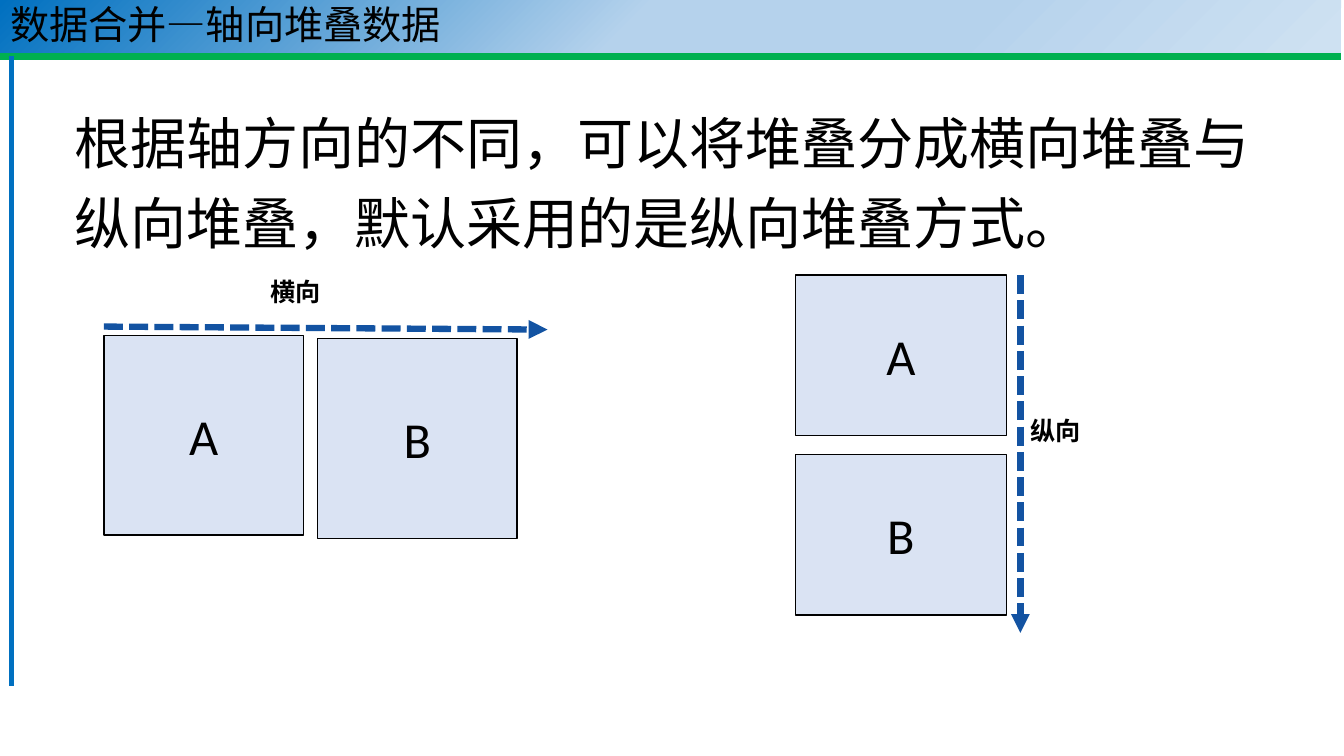
from pptx import Presentation
from pptx.dml.color import RGBColor
from pptx.enum.dml import MSO_LINE
from pptx.enum.shapes import MSO_CONNECTOR, MSO_SHAPE
from pptx.enum.text import MSO_ANCHOR, MSO_AUTO_SIZE, PP_ALIGN
from pptx.oxml import parse_xml
from pptx.oxml.ns import nsdecls, qn
from pptx.util import Inches, Pt
from lxml.etree import SubElement

WIDTH, HEIGHT = Inches(13.33), Inches(7.5)
BLACK = RGBColor(0, 0, 0)
PALE = RGBColor(0xDA, 0xE3, 0xF3)
NAVY = RGBColor(0x13, 0x53, 0xA2)
BLUE = RGBColor(0x00, 0x70, 0xC0)
GREEN = RGBColor(0x00, 0xB0, 0x50)
SKY = RGBColor(0xB5, 0xD2, 0xEC)
MIST = RGBColor(0xCE, 0xE1, 0xF2)
STOPS = ((1, MIST), (29, SKY), (53, SKY), (100, BLUE))
HAN, LATIN = "Noto Sans CJK SC", "Calibri"


def scale(x, y):
    """Turn percentages of the slide's width and height into lengths."""
    return int(WIDTH * x / 100), int(HEIGHT * y / 100)


def write(shape, text, size, font=LATIN, bold=False, align=PP_ALIGN.LEFT,
          anchor=MSO_ANCHOR.TOP, space=1.0, wrap=True):
    """Put formatted text into a shape."""
    frame = shape.text_frame
    frame.word_wrap = wrap
    frame.auto_size = MSO_AUTO_SIZE.NONE
    frame.vertical_anchor = anchor
    para = frame.paragraphs[0]
    para.alignment, para.line_spacing = align, space
    run = para.add_run()
    run.text = text
    run.font.size, run.font.bold, run.font.name = Pt(size), bold, font
    run.font.color.rgb = BLACK
    SubElement(run.font._element, qn("a:ea")).set("typeface", HAN)


def label(slide, text, x, y, wide, high, size, **style):
    """Add a text box."""
    box = slide.shapes.add_textbox(*scale(x, y), *scale(wide, high))
    write(box, text, size, **style)


def block(slide, text, x, y, wide, high):
    """Add a pale box that stands for one data set."""
    box = slide.shapes.add_shape(
        MSO_SHAPE.RECTANGLE, *scale(x, y), *scale(wide, high))
    box.shadow.inherit = False
    box.fill.solid()
    box.fill.fore_color.rgb = PALE
    box.line.color.rgb, box.line.width = BLACK, Pt(1)
    write(box, text, 36, align=PP_ALIGN.CENTER, anchor=MSO_ANCHOR.MIDDLE)


def stack(slide, x, y, wide, high, right, down):
    """Add blocks A and B, each one step on from the last."""
    for step, name in enumerate("AB"):
        block(slide, name, x + step * right, y + step * down, wide, high)


def rule(slide, start, end, color, width, arrow=False):
    """Draw a plain line, or a dashed arrow."""
    line = slide.shapes.add_connector(
        MSO_CONNECTOR.STRAIGHT, *scale(*start), *scale(*end))
    line.line.color.rgb, line.line.width = color, Pt(width)
    if arrow:
        line.line.dash_style = MSO_LINE.SQUARE_DOT
        tail = SubElement(line.line._get_or_add_ln(), qn("a:tailEnd"))
        tail.set("type", "triangle")
    SubElement(line._element.spPr, qn("a:effectLst"))


def banner(slide, text):
    """Format the title as a gradient strip along the top."""
    title = slide.shapes.title
    title.left, title.top = 0, 0
    title.width, title.height = scale(99.78, 7.2)
    stops = "".join(
        f'<a:gs pos="{pos * 1000}"><a:srgbClr val="{color}"/></a:gs>'
        for pos, color in STOPS)
    title._element.spPr.append(parse_xml(
        f'<a:gradFill {nsdecls("a")} rotWithShape="1"><a:gsLst>{stops}'
        '</a:gsLst><a:lin ang="13500000" scaled="0"/></a:gradFill>'))
    write(title, text, 28, font=HAN, anchor=MSO_ANCHOR.MIDDLE, space=0.9)


def main():
    """Build the slide and save it."""
    deck = Presentation()
    deck.slide_width, deck.slide_height = WIDTH, HEIGHT
    slide = deck.slides.add_slide(deck.slide_layouts[5])
    rule(slide, (0, 7.47), (99.78, 7.47), GREEN, 5.25)
    rule(slide, (0.83, 7.47), (0.83, 90.8), BLUE, 3.75)
    banner(slide, "数据合并—轴向堆叠数据")
    label(slide, "根据轴方向的不同，可以将堆叠分成横向堆叠与纵向堆叠，"
          "默认采用的是纵向堆叠方式。", 4.8, 11.87, 90.17, 22, 40,
          font=HAN, space=1.2)
    stack(slide, 7.73, 44.4, 14.85, 26.4, right=15.9, down=0.4)
    rule(slide, (7.73, 43.2), (40.74, 43.6), NAVY, 4.5, arrow=True)
    label(slide, "横向", 19.35, 35.87, 6.6, 6.67, 18, bold=True, wrap=False)
    stack(slide, 59.19, 36.4, 15.68, 21.2, right=0, down=23.73)
    rule(slide, (75.92, 36.4), (75.92, 83.73), NAVY, 4.5, arrow=True)
    label(slide, "纵向", 75.92, 54.27, 6.6, 6.67, 18, bold=True, wrap=False)
    deck.save("out.pptx")


main()
